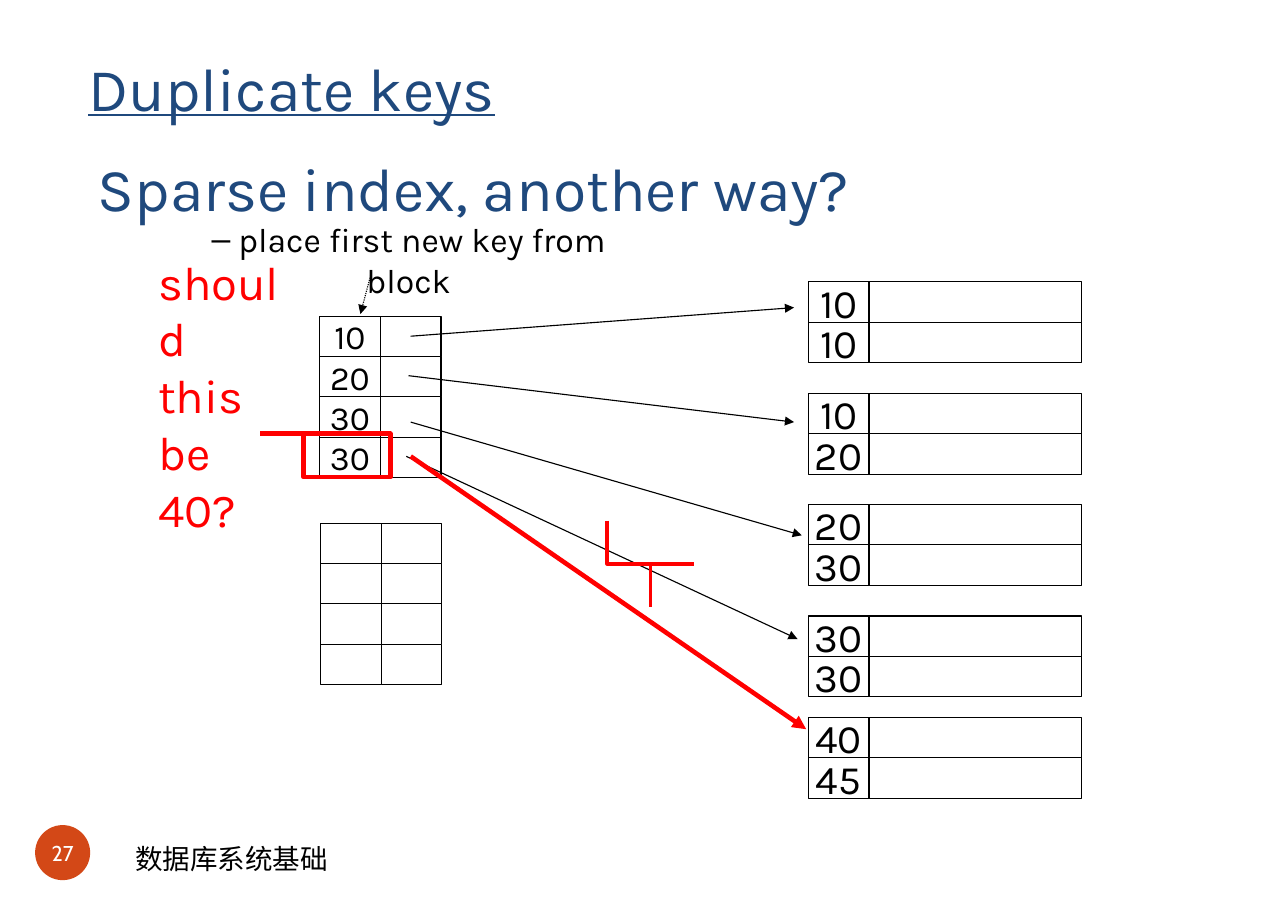
from lxml import etree
from pptx import Presentation
from pptx import util as u
from pptx.dml.color import RGBColor
from pptx.enum import dml, shapes, text
from pptx.oxml.ns import qn

COLORS = {"navy": "1F497D", "black": "000000", "white": "FFFFFF",
          "red": "FF0000", "orange": "D34817"}
TITLE = "Duplicate keys"
SUBTITLE = "Sparse index, another way?"
HINT = " place first new key from block"
QUESTION = ["should", "this be", "40?"]
FOOTER = "数据库系统基础"
PAGE = "27"

ROW_H, KEY_W, RECORD_W = 0.93, 1.4, 4.9
BLOCK_X = 18.64
BLOCKS = [(6.5, ["10", "10"]), (9.07, ["10", "20"]), (11.63, ["20", "30"]),
          (14.2, ["30", "30"]), (16.54, ["40", "45"])]
INDEXES = [(7.37, 7.29, ["10", "20", "30", "30"]), (7.39, 12.06, [""] * 4)]

ARROWS = [
    ((9.47, 7.75), (18.31, 7.09), "black", 0.75, None),
    ((9.42, 8.66), (18.31, 9.73), "black", 0.75, None),
    ((9.47, 9.73), (18.49, 12.34), "black", 0.75, None),
    ((9.37, 10.52), (18.39, 14.73), "black", 0.75, None),
    ((8.56, 6.3), (8.31, 7.24), "black", 0.75, dml.MSO_LINE.ROUND_DOT),
    ((9.47, 10.52), (18.59, 16.81), "red", 3, None),
]

SCRIBBLES = [
    (3, (7.19, 10.39), [
        ((7.04, 10.54), (6.88, 10.8), (7.06, 11)),
        ((7.09, 11.02), (7.57, 11.07), (7.7, 11.13)),
        ((7.72, 11.18), (7.72, 11.23), (7.77, 11.25)),
        ((7.98, 11.28), (8.18, 11.25), (8.38, 11.2)),
        ((8.43, 11.2), (8.43, 11.13), (8.43, 11.1)),
        ((8.48, 10.9), (8.48, 10.82), (8.59, 10.67)),
        ((8.56, 10.57), (8.59, 10.46), (8.51, 10.39)),
        ((8.31, 10.19), (7.95, 10.19), (7.7, 10.11)),
        ((7.49, 10.16), (7.26, 10.19), (7.06, 10.24)),
        ((6.81, 10.29), (7.11, 10.24), (6.83, 10.34)),
        ((6.58, 10.46), (6.3, 10.46), (6.02, 10.46))]),
    (2.25, (15.6, 12.83), [
        ((15.27, 12.93), (14.91, 12.98), (14.58, 13.03)),
        ((14.4, 13.13), (14.45, 13.11), (14.27, 13.16)),
        ((14.2, 13.16), (14.07, 13.18), (14.07, 13.18))]),
    (2.25, (14.35, 12.5), [((14.71, 12.73), (14.73, 13.23), (14.73, 13.61))]),
]


def rgb(name):
    return RGBColor.from_string(COLORS[name])


def place(sp, x, y, w, h):
    sp.left, sp.top, sp.width, sp.height = (u.Cm(v) for v in (x, y, w, h))


def write(sp, lines, size, color, font="Karla", align="LEFT", wrap=True,
          underline=None, bullet=None, anchor="MIDDLE"):
    tf = sp.text_frame
    tf.auto_size = text.MSO_AUTO_SIZE.NONE
    tf.word_wrap = wrap
    tf.vertical_anchor = getattr(text.MSO_ANCHOR, anchor)
    for i, line in enumerate(lines):
        p = tf.add_paragraph() if i else tf.paragraphs[0]
        p.alignment = getattr(text.PP_ALIGN, align)
        p.space_before = u.Pt(0)
        if bullet:
            pPr = p._p.get_or_add_pPr()
            pPr.set("marL", "0")
            pPr.set("indent", "0")
            etree.SubElement(pPr, qn("a:buChar")).set("char", bullet)
        r = p.add_run()
        r.text = line
        r.font.name, r.font.size = font, u.Pt(size)
        r.font.color.rgb = rgb(color)
        r.font.underline = underline


def textbox(s, box, *args, **kwargs):
    write(s.shapes.add_textbox(*(u.Cm(v) for v in box)), *args, **kwargs)


def cell(s, x, y, w, label="", size=None):
    sp = s.shapes.add_shape(shapes.MSO_SHAPE.RECTANGLE,
                            u.Cm(x), u.Cm(y), u.Cm(w), u.Cm(ROW_H))
    sp.shadow.inherit = False
    sp.fill.solid()
    sp.fill.fore_color.rgb = rgb("white")
    sp.line.color.rgb = rgb("black")
    sp.line.width = u.Pt(0.75)
    if label:
        write(sp, [label], size, "black", align="CENTER", wrap=False)


def grid(s, x, y, keys, size, second_w):
    for i, key in enumerate(keys):
        cell(s, x, y + i * ROW_H, KEY_W, key, size)
        cell(s, x + KEY_W, y + i * ROW_H, second_w)


def arrow(s, start, end, color, width, dash):
    c = s.shapes.add_connector(shapes.MSO_CONNECTOR.STRAIGHT,
                               *(u.Cm(v) for v in start + end))
    c.line.color.rgb = rgb(color)
    c.line.width = u.Pt(width)
    if dash:
        c.line.dash_style = dash
    etree.SubElement(c.line._get_or_add_ln(), qn("a:tailEnd")).set("type", "triangle")
    etree.SubElement(c._element.spPr, qn("a:effectLst"))


def curve_points(start, curves, steps=8):
    points = []
    for c1, c2, end in curves:
        for k in range(1, steps + 1):
            t = k / steps
            points.append(tuple(
                (1 - t) ** 3 * a + 3 * (1 - t) ** 2 * t * b
                + 3 * (1 - t) * t ** 2 * c + t ** 3 * d
                for a, b, c, d in zip(start, c1, c2, end)))
        start = end
    return points


def scribble(s, width, start, curves):
    fb = s.shapes.build_freeform(*start, scale=u.Cm(1))
    fb.add_line_segments(curve_points(start, curves), close=False)
    sp = fb.convert_to_shape()
    sp.shadow.inherit = False
    sp.fill.background()
    sp.line.color.rgb = rgb("red")
    sp.line.width = u.Pt(width)


def main():
    prs = Presentation()
    prs.slide_width, prs.slide_height = u.Cm(29.7), u.Cm(21)
    s = prs.slides.add_slide(prs.slide_layouts[1])
    title, body = s.placeholders
    place(title, 1.78, 0.94, 10.26, 2.13)
    write(title, [TITLE], 39.7, "navy", underline=True)
    place(body, 3.68, 5.38, 11.48, 1.19)
    write(body, [HINT], 22.1, "black", align="CENTER", bullet="–")
    textbox(s, (2.01, 2.57, 23.8, 3.5), [SUBTITLE], 39.7, "navy")

    for y, keys in BLOCKS:
        grid(s, BLOCK_X, y, keys, 26.4, RECORD_W)
    for x, y, keys in INDEXES:
        grid(s, x, y, keys, 22.1, KEY_W)
    for a in ARROWS:
        arrow(s, *a)
    textbox(s, (3.4, 6.99, 3.76, 4.22), QUESTION, 30.9, "red")
    for mark in SCRIBBLES:
        scribble(s, *mark)

    sp = s.shapes.add_shape(shapes.MSO_SHAPE.OVAL, u.Cm(0.81), u.Cm(19.02),
                            u.Cm(1.27), u.Cm(1.27))
    sp.shadow.inherit = False
    sp.fill.solid()
    sp.fill.fore_color.rgb = rgb("orange")
    sp.line.fill.background()
    write(sp, [PAGE], 14, "white", font="Cabin", align="CENTER", wrap=False)
    textbox(s, (2.87, 19.28, 6.48, 1.02), [FOOTER], 18, "black",
            font="Calibri", anchor="TOP")
    prs.save("out.pptx")


if __name__ == "__main__":
    main()
